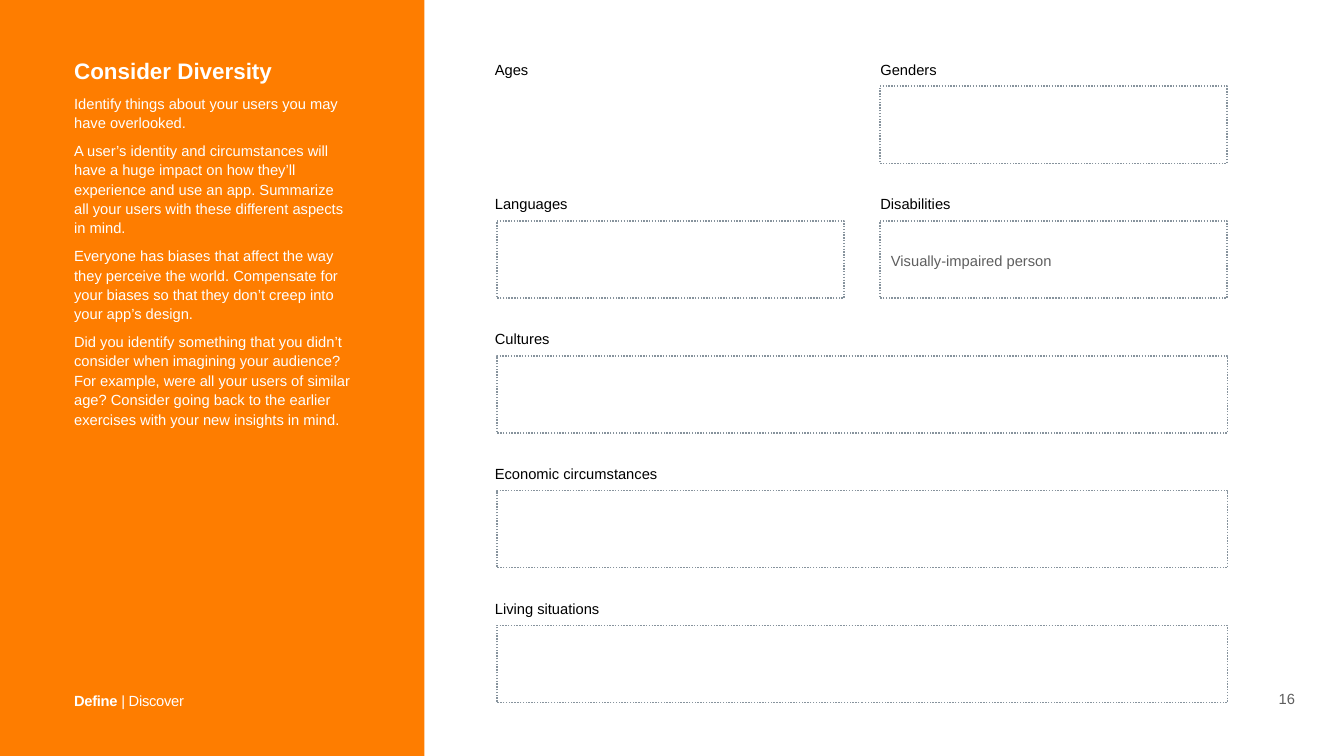
from dataclasses import dataclass

from lxml import etree
from pptx import Presentation
from pptx import util as u
from pptx.dml.color import RGBColor
from pptx.enum import dml, shapes, text
from pptx.oxml.ns import qn


@dataclass(frozen=True)
class Theme:
    orange: RGBColor = RGBColor(0xFE, 0x7D, 0x00)
    white: RGBColor = RGBColor(0xFF, 0xFF, 0xFF)
    black: RGBColor = RGBColor(0x00, 0x00, 0x00)
    grey: RGBColor = RGBColor(0x5E, 0x5E, 0x5E)
    outline: RGBColor = RGBColor(0x87, 0x93, 0x9D)
    font: str = "Arial"
    heading_size: int = 32
    text_size: int = 21


@dataclass(frozen=True)
class Field:
    """A labelled answer area on the worksheet grid."""
    label: str
    row: int
    column: int = 0
    wide: bool = False
    boxed: bool = True
    answer: str = ""


THEME = Theme()
FIRST_ROW, LAST_ROW, ROW_COUNT = 1.13, 11.83, 5
ROW_PITCH = (LAST_ROW - FIRST_ROW) / (ROW_COUNT - 1)
LABEL_LEFTS = (9.76, 17.41)
BOX_LEFTS = (9.86, 17.46)
LABEL_WIDTH, LABEL_HEIGHT = 6.86, 0.45
BOX_WIDTH, WIDE_WIDTH, BOX_HEIGHT = 6.89, 14.5, 1.53
BOX_DROP = 0.58

FIELDS = (
    Field("Ages", 0, boxed=False),
    Field("Genders", 0, column=1),
    Field("Languages", 1),
    Field("Disabilities", 1, column=1, answer="Visually-impaired person"),
    Field("Cultures", 2, wide=True),
    Field("Economic circumstances", 3, wide=True),
    Field("Living situations", 4, wide=True),
)

GUIDANCE = (
    "Identify things about your users you may have overlooked.",
    "A user’s identity and circumstances will have a huge impact on how they’ll "
    "experience and use an app. Summarize \vall your users with these different "
    "aspects \vin mind.",
    "Everyone has biases that affect the way they perceive the world. Compensate "
    "for your biases so that they don’t creep into your app’s design.",
    "Did you identify something that you didn’t consider when imagining your "
    "audience? For example, were all your users of similar age? Consider going "
    "back to the earlier exercises with your new insights in mind.",
)


def place(shape, left: float, top: float, width: float, height: float) -> None:
    shape.left, shape.top = u.Inches(left), u.Inches(top)
    shape.width, shape.height = u.Inches(width), u.Inches(height)


def set_frame(frame, inset: float, anchor=text.MSO_ANCHOR.TOP, wrap: bool = True) -> None:
    frame.auto_size = text.MSO_AUTO_SIZE.NONE
    frame.word_wrap = wrap
    frame.vertical_anchor = anchor
    frame.margin_left = frame.margin_right = u.Inches(inset)
    frame.margin_top = frame.margin_bottom = u.Inches(inset)


def style(paragraph, color: RGBColor, size: int = THEME.text_size, bold: bool = False,
          spacing: float = 1.0, before: float = 0, align=text.PP_ALIGN.LEFT) -> None:
    paragraph.alignment = align
    paragraph.line_spacing = spacing
    paragraph.space_before = u.Pt(before)
    for run in paragraph.runs:
        run.font.name, run.font.size = THEME.font, u.Pt(size)
        run.font.bold = bold
        run.font.color.rgb = color


def remove_bullet(paragraph) -> None:
    properties = paragraph._p.get_or_add_pPr()
    properties.set("marL", "0")
    properties.set("indent", "0")
    etree.SubElement(properties, qn("a:buNone"))


def add_rectangle(slide, left: float, top: float, width: float, height: float,
                  fill: RGBColor):
    rectangle = slide.shapes.add_shape(
        shapes.MSO_SHAPE.RECTANGLE, *map(u.Inches, (left, top, width, height)))
    rectangle.shadow.inherit = False
    rectangle.fill.solid()
    rectangle.fill.fore_color.rgb = fill
    rectangle.line.fill.background()
    return rectangle


def add_text(slide, content: str, left: float, top: float, width: float, height: float,
             inset: float, anchor, wrap: bool, color: RGBColor, **paragraph_style):
    box = slide.shapes.add_textbox(*map(u.Inches, (left, top, width, height)))
    set_frame(box.text_frame, inset, anchor, wrap)
    box.text_frame.text = content
    style(box.text_frame.paragraphs[0], color, **paragraph_style)
    return box


def add_field(slide, field: Field) -> None:
    top = FIRST_ROW + field.row * ROW_PITCH
    add_text(slide, field.label, LABEL_LEFTS[field.column], top, LABEL_WIDTH,
             LABEL_HEIGHT, 0.06, text.MSO_ANCHOR.MIDDLE, True, THEME.black, spacing=1.1)
    if not field.boxed:
        return
    width = WIDE_WIDTH if field.wide else BOX_WIDTH
    box = add_rectangle(slide, BOX_LEFTS[field.column], top + BOX_DROP, width,
                        BOX_HEIGHT, THEME.white)
    box.line.color.rgb = THEME.outline
    box.line.width = u.Pt(2)
    box.line.dash_style = dml.MSO_LINE.ROUND_DOT
    if field.answer:
        set_frame(box.text_frame, 0.22, text.MSO_ANCHOR.MIDDLE)
        box.text_frame.text = field.answer
        style(box.text_frame.paragraphs[0], THEME.grey, spacing=1.1)


def add_guidance(slide) -> None:
    # Orange side panel, behind the placeholders
    panel = add_rectangle(slide, -0.01, -0.01, 8.43, 15.02, THEME.orange)
    slide.shapes._spTree.insert(2, panel._element)

    # Heading
    heading = slide.shapes.title
    place(heading, 1.39, 1.06, 5.9, 0.7)
    set_frame(heading.text_frame, 0.08)
    heading.text_frame.text = "Consider Diversity"
    style(heading.text_frame.paragraphs[0], THEME.white, THEME.heading_size, bold=True)

    # Guidance paragraphs
    guidance = slide.placeholders[1]
    place(guidance, 1.39, 1.76, 5.9, 6.73)
    set_frame(guidance.text_frame, 0.08)
    guidance.text_frame.text = "\n".join(GUIDANCE)
    for index, paragraph in enumerate(guidance.text_frame.paragraphs):
        remove_bullet(paragraph)
        style(paragraph, THEME.white, spacing=1.1, before=12 if index else 0)


def add_footer(slide) -> None:
    stage = add_text(slide, "Define", 1.39, 13.58, 2.33, 0.51, 0.08,
                     text.MSO_ANCHOR.TOP, False, THEME.white)
    paragraph = stage.text_frame.paragraphs[0]
    paragraph.add_run().text = " | Discover"
    style(paragraph, THEME.white, spacing=1.2)
    paragraph.runs[0].font.bold = True
    for run in paragraph.runs:
        run._r.get_or_add_rPr().set("spc", "-40")

    add_text(slide, "16", 25.29, 13.61, 0.49, 0.5, 0.08, text.MSO_ANCHOR.BOTTOM,
             False, THEME.grey, align=text.PP_ALIGN.CENTER)


def main() -> None:
    deck = Presentation()
    deck.slide_width, deck.slide_height = u.Inches(26.67), u.Inches(15)
    slide = deck.slides.add_slide(deck.slide_layouts[1])
    add_guidance(slide)
    for field in FIELDS:
        add_field(slide, field)
    add_footer(slide)
    deck.save("out.pptx")


if __name__ == "__main__":
    main()
